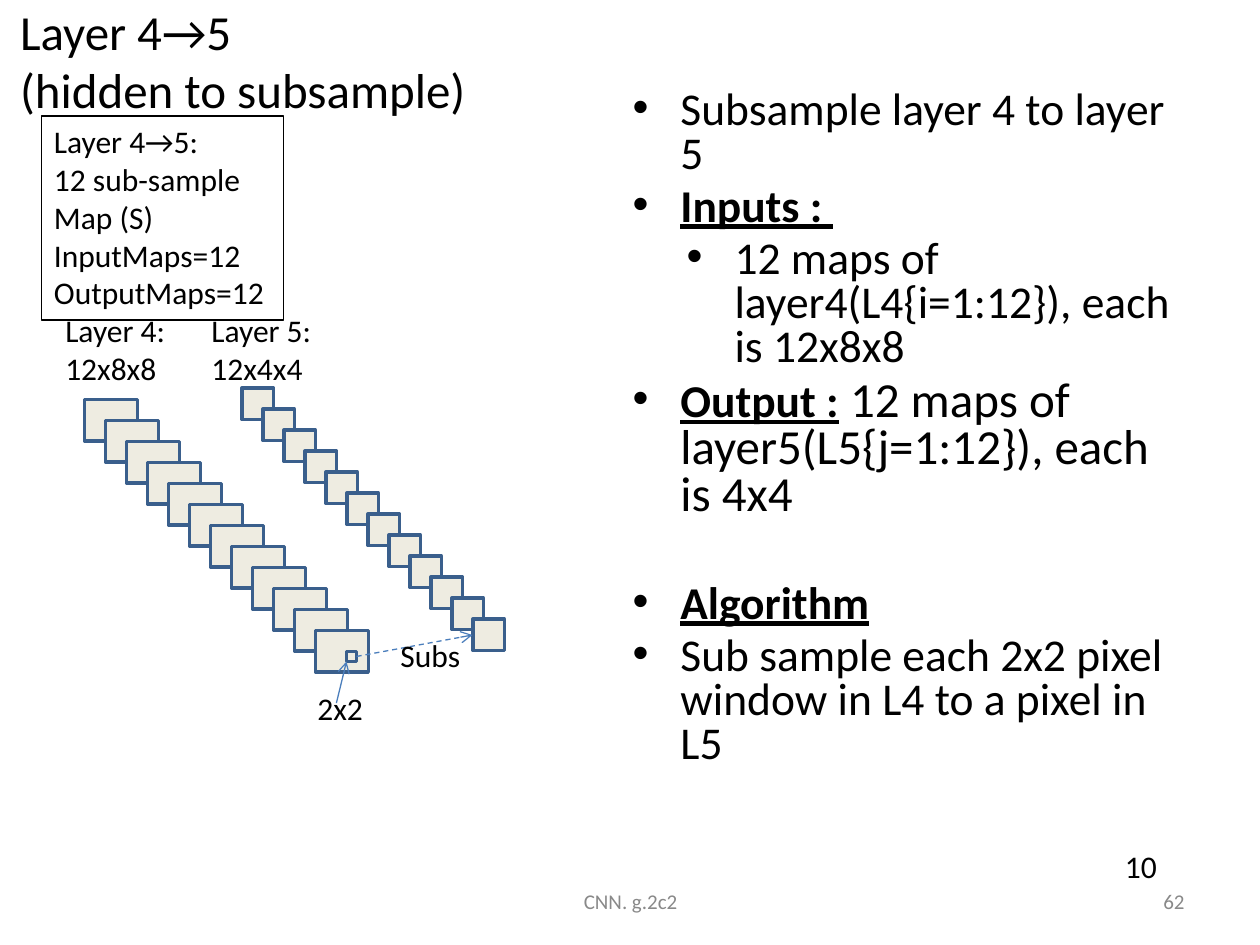
from dataclasses import dataclass

from lxml.etree import SubElement
from pptx import Presentation
from pptx.dml.color import RGBColor
from pptx.enum.dml import MSO_LINE
from pptx.enum.shapes import MSO_CONNECTOR, MSO_SHAPE
from pptx.enum.text import MSO_ANCHOR, MSO_AUTO_SIZE, PP_ALIGN
from pptx.oxml.ns import qn
from pptx.util import Inches, Pt

BLACK = RGBColor(0x00, 0x00, 0x00)
GREY = RGBColor(0x89, 0x89, 0x89)
MAP_FILL = RGBColor(0xEE, 0xEC, 0xE1)
MAP_LINE = RGBColor(0x3A, 0x5F, 0x8C)
ARROW_BLUE = RGBColor(0x4B, 0x7E, 0xBC)
FONT = "Calibri"
MAP_COUNT = 12
MAP_STEP = 1 / 6


@dataclass
class Label:
    text: str
    left: float
    top: float
    width: float
    height: float
    size: int = 18
    color: RGBColor = BLACK
    align: PP_ALIGN = PP_ALIGN.LEFT
    anchor: MSO_ANCHOR = MSO_ANCHOR.TOP
    wrap: bool = False
    framed: bool = False


@dataclass
class MapStack:
    left: float
    top: float
    width: float
    height: float


@dataclass
class Arrow:
    start: tuple[float, float]
    end: tuple[float, float]
    dashed: bool = False


@dataclass
class Bullet:
    heading: str = ""
    text: str = ""
    level: int = 0
    space_before: float = 5.2
    text_size: int = 26


LABELS = [
    Label("CNN. g.2c2", 3.42, 6.95, 3.17, 0.4, 12, GREY, PP_ALIGN.CENTER, MSO_ANCHOR.MIDDLE, True),
    Label("62", 7.17, 6.95, 2.33, 0.4, 12, GREY, PP_ALIGN.RIGHT, MSO_ANCHOR.MIDDLE, True),
    Label("Layer 4→5:\n12 sub-sample\nMap (S)\nInputMaps=12\nOutputMaps=12",
          0.33, 0.92, 1.92, 1.62, wrap=True, framed=True),
    Label("Layer 4:\n12x8x8", 0.42, 2.42, 1, 0.71),
    Label("Layer 5:\n12x4x4", 1.58, 2.42, 1, 0.71),
    Label("10", 8.83, 6.67, 0.46, 0.4),
    Label("Subs", 3.08, 5, 0.68, 0.4),
    Label("2x2", 2.42, 5.42, 0.58, 0.4),
]
STACKS = [MapStack(0.67, 3.17, 0.42, 0.33), MapStack(1.92, 3.08, 0.25, 0.25)]
ARROWS = [Arrow((2.83, 5.21), (3.75, 5.04), dashed=True), Arrow((2.67, 5.58), (2.75, 5.25))]
BULLETS = [
    Bullet(text="Subsample layer 4 to layer 5", space_before=0),
    Bullet("Inputs : "),
    Bullet(text="12 maps of layer4(L4{i=1:12}), each is 12x8x8", level=1),
    Bullet("Output :", " 12 maps of layer5(L5{j=1:12}), each is 4x4", text_size=28),
    Bullet("Algorithm", space_before=36),
    Bullet(text="Sub sample each 2x2 pixel window in L4 to a pixel in L5"),
]


def place(shape, left: float, top: float, width: float, height: float) -> None:
    shape.left, shape.top = Inches(left), Inches(top)
    shape.width, shape.height = Inches(width), Inches(height)


def style_font(font, size: int, color: RGBColor = BLACK) -> None:
    font.name, font.size = FONT, Pt(size)
    font.color.rgb = color


def add_label(slide, label: Label) -> None:
    box = slide.shapes.add_textbox(Inches(label.left), Inches(label.top),
                                   Inches(label.width), Inches(label.height))
    frame = box.text_frame
    frame.word_wrap = label.wrap
    frame.vertical_anchor = label.anchor
    frame.text = label.text
    for paragraph in frame.paragraphs:
        paragraph.alignment = label.align
        style_font(paragraph.font, label.size, label.color)
    if label.framed:
        box.line.color.rgb = BLACK
        box.line.width = Pt(0.75)


def add_map(slide, left: float, top: float, width: float, height: float) -> None:
    shape = slide.shapes.add_shape(MSO_SHAPE.RECTANGLE, Inches(left), Inches(top),
                                   Inches(width), Inches(height))
    shape.shadow.inherit = False
    shape.fill.solid()
    shape.fill.fore_color.rgb = MAP_FILL
    shape.line.color.rgb = MAP_LINE
    shape.line.width = Pt(2)


def add_stack(slide, stack: MapStack) -> None:
    for index in range(MAP_COUNT):
        offset = index * MAP_STEP
        add_map(slide, stack.left + offset, stack.top + offset, stack.width, stack.height)


def add_arrow(slide, arrow: Arrow) -> None:
    connector = slide.shapes.add_connector(
        MSO_CONNECTOR.STRAIGHT, *map(Inches, arrow.start), *map(Inches, arrow.end))
    line = connector.line
    line.color.rgb = ARROW_BLUE
    line.width = Pt(0.75)
    if arrow.dashed:
        line.dash_style = MSO_LINE.DASH
    SubElement(line._get_or_add_ln(), qn("a:tailEnd"), type="arrow")
    SubElement(connector._element.spPr, qn("a:effectLst"))


def fill_bullet(paragraph, bullet: Bullet) -> None:
    paragraph.level = bullet.level
    paragraph.line_spacing = 0.8
    paragraph.space_before = Pt(bullet.space_before)
    properties = paragraph._p.get_or_add_pPr()
    properties.set("marL", str(Inches(0.81 if bullet.level else 0.38)))
    properties.set("indent", str(Inches(-0.38)))
    SubElement(properties, qn("a:buFont"), typeface="Arial")
    SubElement(properties, qn("a:buChar"), char="•")
    if bullet.heading:
        run = paragraph.add_run()
        run.text = bullet.heading
        style_font(run.font, 26)
        run.font.bold = run.font.underline = True
    if bullet.text:
        run = paragraph.add_run()
        run.text = bullet.text
        style_font(run.font, bullet.text_size)


def fill_title(title) -> None:
    place(title, 0.06, -0.15, 9, 1.25)
    frame = title.text_frame
    frame.auto_size = MSO_AUTO_SIZE.NONE
    frame.vertical_anchor = MSO_ANCHOR.MIDDLE
    paragraph = frame.paragraphs[0]
    paragraph.text = "Layer 4→5\v(hidden to subsample)"
    paragraph.alignment = PP_ALIGN.LEFT
    style_font(paragraph.font, 28)


def fill_body(body) -> None:
    place(body, 4.92, 0.67, 4.5, 6.83)
    frame = body.text_frame
    frame.auto_size = MSO_AUTO_SIZE.NONE
    for index, bullet in enumerate(BULLETS):
        fill_bullet(frame.add_paragraph() if index else frame.paragraphs[0], bullet)


def main() -> None:
    presentation = Presentation()
    presentation.slide_width, presentation.slide_height = Inches(10), Inches(7.5)
    slide = presentation.slides.add_slide(presentation.slide_layouts[1])
    fill_title(slide.shapes.title)
    fill_body(slide.placeholders[1])
    for stack in STACKS:
        add_stack(slide, stack)
    add_map(slide, 2.75, 5.17, 0.08, 0.08)
    for arrow in ARROWS:
        add_arrow(slide, arrow)
    for label in LABELS:
        add_label(slide, label)
    presentation.save("out.pptx")


if __name__ == "__main__":
    main()
